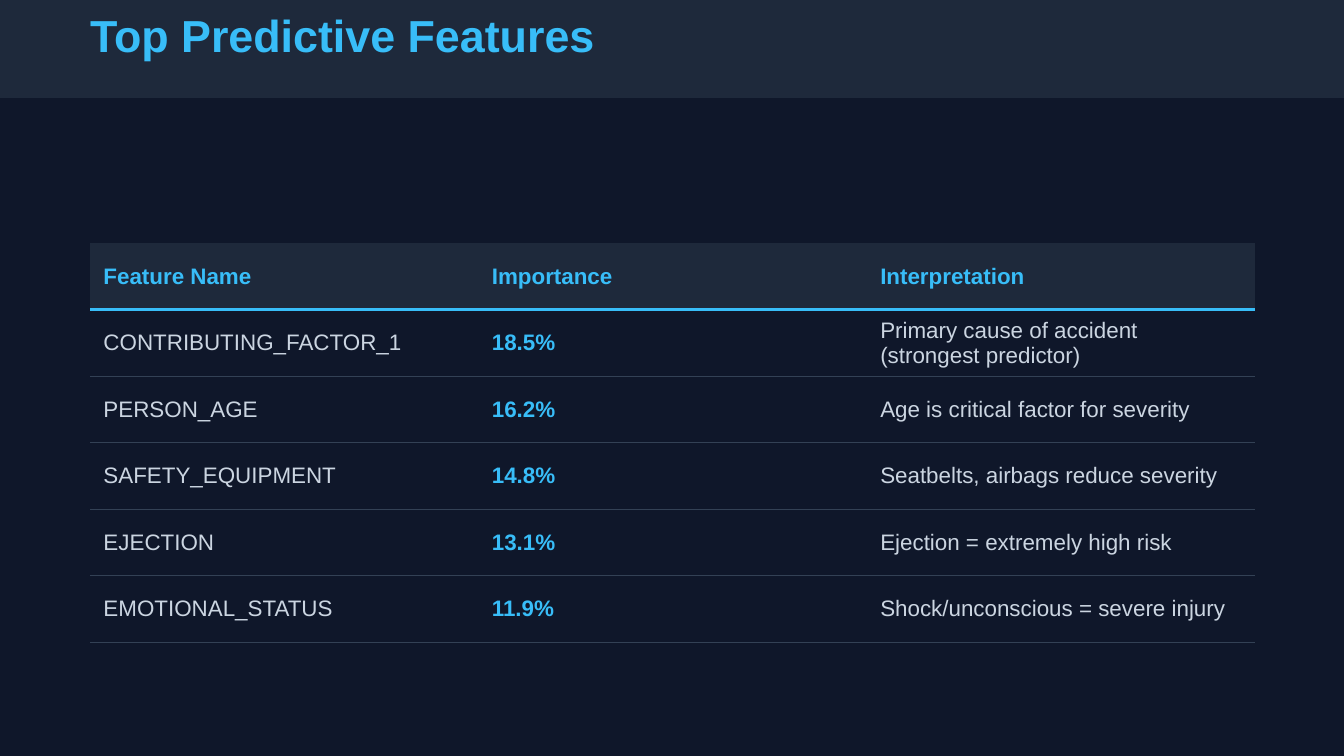
from lxml import etree
from pptx import Presentation
from pptx.dml.color import RGBColor
from pptx.enum.shapes import MSO_SHAPE
from pptx.enum.text import MSO_ANCHOR, MSO_AUTO_SIZE, PP_ALIGN
from pptx.oxml.ns import qn
from pptx.util import Inches, Pt

BACKGROUND = "0F172A"
PANEL = "1E293B"
ACCENT = "38BDF8"
BODY_TEXT = "CBD5E1"
RULE = "334155"

ROWS = [
    ("Feature Name", "Importance", "Interpretation"),
    ("CONTRIBUTING_FACTOR_1", "18.5%", "Primary cause of accident (strongest predictor)"),
    ("PERSON_AGE", "16.2%", "Age is critical factor for severity"),
    ("SAFETY_EQUIPMENT", "14.8%", "Seatbelts, airbags reduce severity"),
    ("EJECTION", "13.1%", "Ejection = extremely high risk"),
    ("EMOTIONAL_STATUS", "11.9%", "Shock/unconscious = severe injury"),
]
IMPORTANCE_COLUMN = 1


def set_fill(fill, color):
    fill.solid()
    fill.fore_color.rgb = RGBColor.from_string(color)


def format_text(paragraph, size, color, bold):
    for run in paragraph.runs:
        run.font.name = "Arial"
        run.font.size = Pt(size)
        run.font.bold = bold
        run.font.color.rgb = RGBColor.from_string(color)


def set_borders(cell, top, bottom):
    """Set horizontal borders as (colour, points) or None; call before filling the cell."""
    properties = cell._tc.get_or_add_tcPr()
    for tag, border in (("a:lnL", None), ("a:lnR", None), ("a:lnT", top), ("a:lnB", bottom)):
        line = etree.SubElement(properties, qn(tag))
        if border is None:
            etree.SubElement(line, qn("a:noFill"))
            continue
        color, width = border
        line.set("w", str(Pt(width)))
        solid = etree.SubElement(line, qn("a:solidFill"))
        etree.SubElement(solid, qn("a:srgbClr"), val=color)


def add_header(slide, left, top, width, height):
    band = slide.shapes.add_shape(MSO_SHAPE.RECTANGLE, left, top, width, height)
    band.shadow.inherit = False
    set_fill(band.fill, PANEL)
    band.line.fill.background()

    title = slide.shapes.title
    title.element.addprevious(band.element)
    title.left, title.top = left + Inches(0.67), top + Inches(0.16)
    title.width, title.height = Inches(3.83), Inches(0.38)
    frame = title.text_frame
    frame.text = "Top Predictive Features"
    frame.margin_left = frame.margin_right = frame.margin_top = frame.margin_bottom = 0
    frame.vertical_anchor = MSO_ANCHOR.TOP
    frame.auto_size = MSO_AUTO_SIZE.NONE
    frame.word_wrap = True
    paragraph = frame.paragraphs[0]
    paragraph.alignment = PP_ALIGN.LEFT
    paragraph.line_spacing = Pt(21.6)
    format_text(paragraph, 24, ACCENT, True)


def add_feature_table(slide, left, top, width, height):
    table = slide.shapes.add_table(len(ROWS), len(ROWS[0]), left, top, width, height).table
    table.first_row = True
    table.horz_banding = False
    header_rule, row_rule = (ACCENT, 1.6), (RULE, 0.8)
    for row, texts in enumerate(ROWS):
        is_header = row == 0
        above = (None, header_rule)[row] if row < 2 else row_rule
        below = header_rule if is_header else row_rule
        for column, text in enumerate(texts):
            cell = table.cell(row, column)
            cell.text_frame.text = text
            cell.vertical_anchor = MSO_ANCHOR.MIDDLE
            set_borders(cell, above, below)
            if is_header:
                set_fill(cell.fill, PANEL)
            else:
                cell.fill.background()
            emphasized = is_header or column == IMPORTANCE_COLUMN
            color = ACCENT if emphasized else BODY_TEXT
            format_text(cell.text_frame.paragraphs[0], 12, color, emphasized)


def main():
    presentation = Presentation()
    presentation.slide_width = Inches(10)
    presentation.slide_height = Inches(10) * 9 // 16
    slide = presentation.slides.add_slide(presentation.slide_layouts[5])
    set_fill(slide.background.fill, BACKGROUND)
    add_header(slide, 0, 0, presentation.slide_width, Inches(0.73))
    add_feature_table(slide, Inches(0.67), Inches(1.81), Inches(8.67), Inches(2.97))
    presentation.save("out.pptx")


if __name__ == "__main__":
    main()
